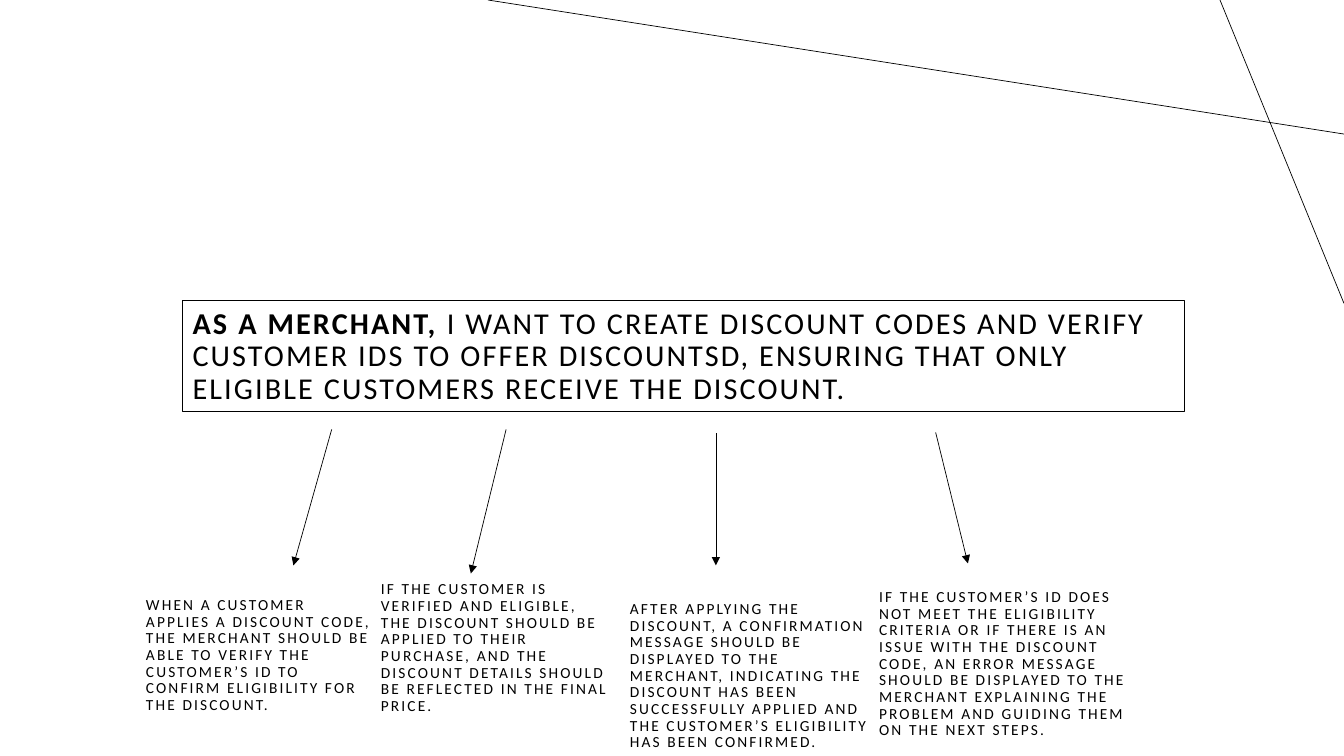
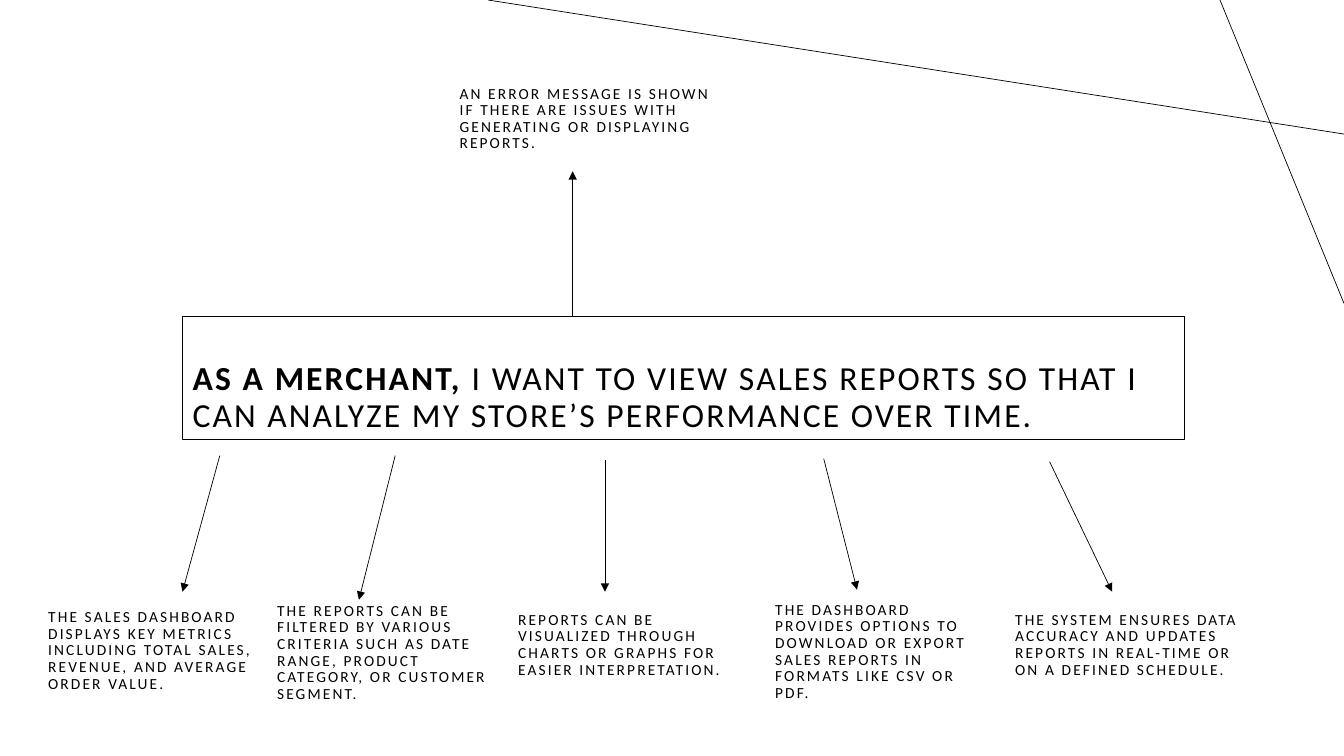
from lxml.etree import SubElement
from pptx import Presentation
from pptx.dml.color import RGBColor
from pptx.enum.shapes import MSO_CONNECTOR as Link
from pptx.enum.text import MSO_ANCHOR as Anchor, MSO_AUTO_SIZE as Fit, PP_ALIGN as Align
from pptx.oxml.ns import qn
from pptx.util import Pt

PX = 9144  # 100 px to the inch
WIDE, HIGH = 1333, 750
COLORS = {"ink": "000000", "paper": "FFFFFF"}
FONT = "Calibri"
LEAD = "AS A MERCHANT, "
RAYS = [(WIDE, 133, 484, 0), (1210, 0, WIDE, 301)]

# Each story: title box, title size, title text, notes.
# Each note: arrow (x1, y1, x2, y2) and text box (x, y, w, h), both
# measured from the top left corner of the title box, then its text.
STORIES = [
    ((181, 298, 994, 110), 21.6,
     "I WANT TO CREATE DISCOUNT CODES AND VERIFY CUSTOMER IDS TO OFFER "
     "DISCOUNTSD, ENSURING THAT ONLY ELIGIBLE CUSTOMERS RECEIVE THE DISCOUNT.",
     [((148, 128, 110, 263), (-46, 273, 247, 142),
       "WHEN A CUSTOMER APPLIES A DISCOUNT CODE, THE MERCHANT SHOULD BE ABLE "
       "TO VERIFY THE CUSTOMER’S ID TO CONFIRM ELIGIBILITY FOR THE DISCOUNT."),
      ((321, 128, 286, 271), (187, 270, 247, 146),
       "IF THE CUSTOMER IS VERIFIED AND ELIGIBLE, THE DISCOUNT SHOULD BE "
       "APPLIED TO THEIR PURCHASE, AND THE DISCOUNT DETAILS SHOULD BE "
       "REFLECTED IN THE FINAL PRICE."),
      ((529, 132, 529, 263), (434, 273, 260, 179),
       "AFTER APPLYING THE DISCOUNT, A CONFIRMATION MESSAGE SHOULD BE "
       "DISPLAYED TO THE MERCHANT, INDICATING THE DISCOUNT HAS BEEN "
       "SUCCESSFULLY APPLIED AND THE CUSTOMER’S ELIGIBILITY HAS BEEN "
       "CONFIRMED."),
      ((747, 131, 779, 261), (681, 261, 269, 179),
       "IF THE CUSTOMER’S ID DOES NOT MEET THE ELIGIBILITY CRITERIA OR IF "
       "THERE IS AN ISSUE WITH THE DISCOUNT CODE, AN ERROR MESSAGE SHOULD BE "
       "DISPLAYED TO THE MERCHANT EXPLAINING THE PROBLEM AND GUIDING THEM ON "
       "THE NEXT STEPS.")]),
    ((181, 314, 994, 122), 24,
     "I WANT TO VIEW SALES REPORTS SO THAT I CAN ANALYZE MY STORE’S "
     "PERFORMANCE OVER TIME.",
     [((37, 138, 0, 273), (-143, 275, 230, 103),
       "THE SALES DASHBOARD DISPLAYS KEY METRICS INCLUDING TOTAL SALES, "
       "REVENUE, AND AVERAGE ORDER VALUE."),
      ((211, 138, 175, 281), (84, 285, 239, 103),
       "THE REPORTS CAN BE FILTERED BY VARIOUS CRITERIA SUCH AS DATE RANGE, "
       "PRODUCT CATEGORY, OR CUSTOMER SEGMENT."),
      ((419, 142, 419, 273), (323, 261, 239, 103),
       "REPORTS CAN BE VISUALIZED THROUGH CHARTS OR GRAPHS FOR EASIER "
       "INTERPRETATION."),
      ((636, 141, 669, 271), (578, 265, 230, 122),
       "THE DASHBOARD PROVIDES OPTIONS TO DOWNLOAD OR EXPORT SALES REPORTS "
       "IN FORMATS LIKE CSV OR PDF."),
      ((860, 144, 922, 273), (816, 275, 251, 89),
       "THE SYSTEM ENSURES DATA ACCURACY AND UPDATES REPORTS IN REAL-TIME OR "
       "ON A DEFINED SCHEDULE."),
      ((387, 0, 387, -144), (265, -248, 272, 90),
       "AN ERROR MESSAGE IS SHOWN IF THERE ARE ISSUES WITH GENERATING OR "
       "DISPLAYING REPORTS.")]),
]


def color(name):
    return RGBColor.from_string(COLORS[name])


def emu(lengths):
    return [n * PX for n in lengths]


def add_line(slide, ends, arrow=False):
    line = slide.shapes.add_connector(Link.STRAIGHT, *emu(ends))
    line.line.color.rgb = color("ink")
    line.line.width = Pt(0.5)
    if arrow:
        SubElement(line.line._get_or_add_ln(), qn("a:tailEnd"), type="triangle")
    SubElement(line.element.spPr, qn("a:effectLst"))
    return line


def style_text(frame, size):
    """Give a one-paragraph frame the wide-set type that all text shares."""
    frame.word_wrap = True
    frame.auto_size = Fit.NONE
    frame.vertical_anchor = Anchor.BOTTOM
    para = frame.paragraphs[0]
    para.alignment = Align.LEFT
    para.line_spacing = 0.9
    font = para.font
    font.name, font.size = FONT, Pt(size)
    font.color.rgb = color("ink")
    para._p.get_or_add_pPr().defRPr.set("spc", "150")
    return para


def add_title(slide, box, size, text):
    title = slide.shapes.title
    title.left, title.top, title.width, title.height = emu(box)
    title.fill.solid()
    title.fill.fore_color.rgb = color("paper")
    title.line.color.rgb = color("ink")
    title.line.width = Pt(1)
    para = style_text(title.text_frame, size)
    for words, bold in ((LEAD, True), (text, False)):
        run = para.add_run()
        run.text = words
        run.font.bold = bold


def add_note(slide, origin, ends, box, text):
    """Draw an arrow and the text it leads to, measured from origin."""
    left, top = origin
    x1, y1, x2, y2 = ends
    add_line(slide, (left + x1, top + y1, left + x2, top + y2), arrow=True)
    x, y, w, h = box
    note = slide.shapes.add_textbox(*emu((left + x, top + y, w, h)))
    note.text_frame.text = text
    style_text(note.text_frame, 11)


def add_story(deck, layout, box, size, text, notes):
    slide = deck.slides.add_slide(layout)
    add_title(slide, box, size, text)
    for note in notes:
        add_note(slide, box[:2], *note)
    return slide


def add_rays(slide, layout):
    """Draw the corner lines and move them to the layout all slides share."""
    for ends in RAYS:
        layout.shapes.element.append(add_line(slide, ends).element)


def main():
    deck = Presentation()
    deck.slide_width, deck.slide_height = emu((WIDE, HIGH))
    layout = deck.slide_layouts.get_by_name("Title Only")
    slides = [add_story(deck, layout, *story) for story in STORIES]
    add_rays(slides[0], layout)
    deck.save("out.pptx")


if __name__ == "__main__":
    main()
